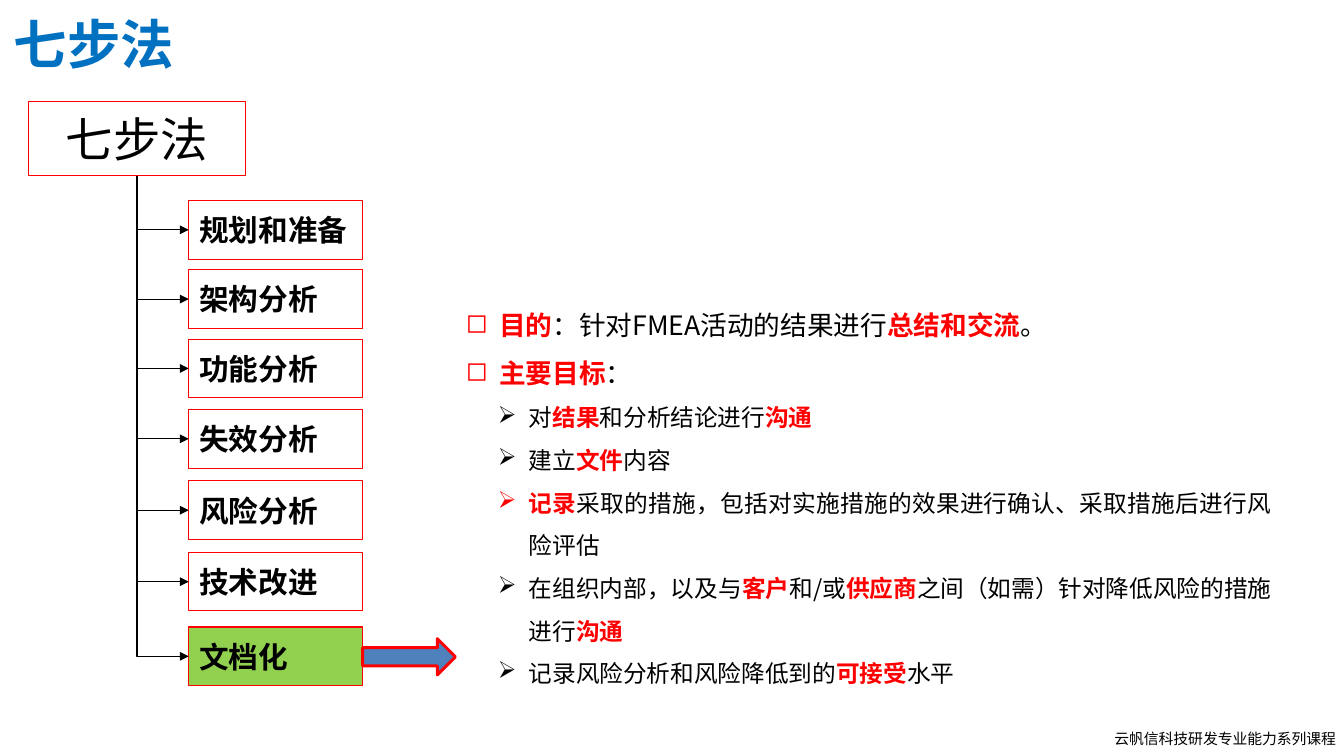
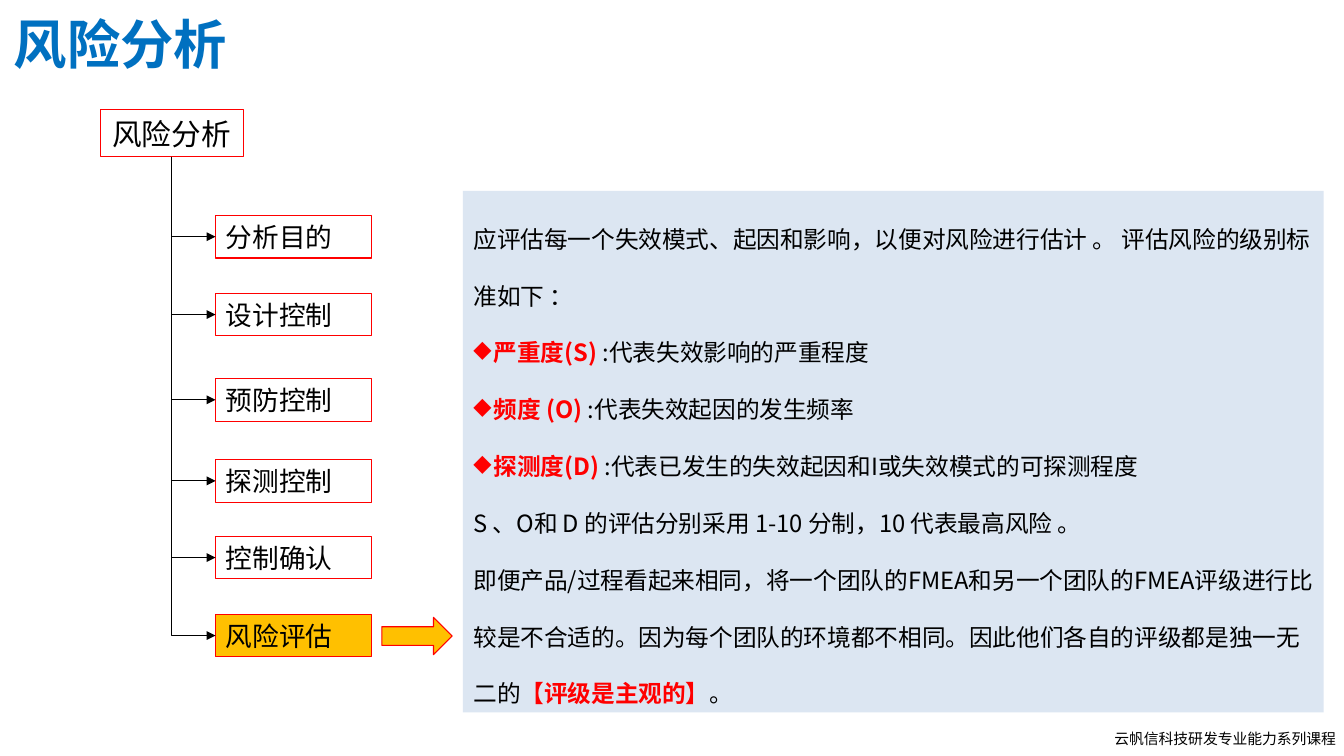
from pptx import Presentation
from pptx.dml.color import RGBColor
from pptx.enum.shapes import MSO_CONNECTOR, MSO_SHAPE
from pptx.enum.text import MSO_ANCHOR, MSO_AUTO_SIZE, PP_ALIGN
from pptx.oxml import parse_xml
from pptx.oxml.ns import nsdecls, qn
from pptx.util import Inches, Pt

BLACK = RGBColor(0x00, 0x00, 0x00)
RED = RGBColor(0xFF, 0x00, 0x00)
TITLE_BLUE = RGBColor(0x00, 0x70, 0xC0)
ARROW_BLUE = RGBColor(0x4F, 0x81, 0xBD)
PANEL_BLUE = RGBColor(0xDC, 0xE6, 0xF2)
GREEN = RGBColor(0x92, 0xD0, 0x50)
AMBER = RGBColor(0xFF, 0xC0, 0x00)

FONT = "Noto Sans CJK SC"
FOOTER = "云帆信科技研发专业能力系列课程"
BOTTOM_SITE, LEFT_SITE = 2, 1

STEPS = [
    ("规划和准备", 1.88), ("架构分析", 2.53), ("功能分析", 3.18), ("失效分析", 3.84),
    ("风险分析", 4.51), ("技术改进", 5.18), ("文档化", 5.88),
]
RISK_TOPICS = [
    ("分析目的", 2.02), ("设计控制", 2.75), ("预防控制", 3.55),
    ("探测控制", 4.31), ("控制确认", 5.03), ("风险评估", 5.76),
]

GOAL = {"bullet": "◻", "margin": 0.31, "hang": 0.31, "size": 18}
TARGET = {"bullet": "➢", "margin": 0.59, "hang": 0.29, "size": 16, "level": 1}
PLAIN = {"size": 16}
RATING = {"bullet": "◆", "margin": 0.19, "hang": 0.19, "size": 16}

DOCUMENTATION = [
    ("*目的*：针对FMEA活动的结果进行*总结和交流*。", GOAL),
    ("*主要目标*：", GOAL),
    ("对*结果*和分析结论进行*沟通*", TARGET),
    ("建立*文件*内容", TARGET),
    ("*记录*采取的措施，包括对实施措施的效果进行确认、采取措施后进行风险评估", TARGET),
    ("在组织内部，以及与*客户*和/或*供应商*之间（如需）针对降低风险的措施进行*沟通*", TARGET),
    ("记录风险分析和风险降低到的*可接受*水平", TARGET),
]
EVALUATION = [
    ("应评估每一个失效模式、起因和影响，以便对风险进行估计 。 评估风险的级别标准如下 ：", PLAIN),
    ("*严重度(S) *:代表失效影响的严重程度", RATING),
    ("*频度 (O) *:代表失效起因的发生频率", RATING),
    ("*探测度(D) *:代表已发生的失效起因和I或失效模式的可探测程度", RATING),
    ("S 、O和 D 的评估分别采用 1-10 分制，10 代表最高风险 。", PLAIN),
    ("即便产品/过程看起来相同，将一个团队的FMEA和另一个团队的FMEA评级进行比较是不合适的。"
     "因为每个团队的环境都不相同。因此他们各自的评级都是独一无二的*【评级是主观的】*。", PLAIN),
]


def apply_format(target, values):
    """Set every attribute named in a dict of format values."""
    for name, value in values.items():
        setattr(target, name, value)


class Deck:
    """Holds the shared style and the current slide."""

    def __init__(self):
        """Start an empty presentation."""
        self.presentation = Presentation()
        apply_format(self.presentation, {"slide_width": Inches(12.6), "slide_height": Inches(7.09)})
        self.slide = None

    def add_slide(self, title):
        """Add a slide with its title and footer."""
        self.slide = self.presentation.slides.add_slide(self.presentation.slide_layouts[5])
        shape = self.slide.shapes.title
        apply_format(shape, {"left": Inches(0.03), "top": Inches(0.05),
                             "width": Inches(4.96), "height": Inches(0.71)})
        self.set_frame(shape, MSO_ANCHOR.MIDDLE)
        self.add_runs(shape.text_frame.paragraphs[0], title, 36, TITLE_BLUE, True)
        footer = self.slide.shapes.add_textbox(*map(Inches, (10.35, 6.79, 2.37, 0.27)))
        self.set_frame(footer, MSO_ANCHOR.MIDDLE)
        self.add_runs(footer.text_frame.paragraphs[0], FOOTER, 10)

    def set_frame(self, shape, anchor):
        """Give a text frame the shared wrapping and the wanted anchor."""
        apply_format(shape.text_frame, {"word_wrap": True, "auto_size": MSO_AUTO_SIZE.NONE,
                                        "vertical_anchor": anchor})

    def add_runs(self, paragraph, text, size, color=BLACK, bold=False, alignment=PP_ALIGN.LEFT):
        """Add text whose parts between asterisks are bold and red."""
        paragraph.alignment = alignment
        for index, part in enumerate(text.split("*")):
            if part:
                key = index % 2 == 1
                run = paragraph.add_run()
                run.text = part
                apply_format(run.font, {"name": FONT, "size": Pt(size), "bold": key or bold})
                run.font.color.rgb = RED if key else color
                east_asian = parse_xml(f'<a:ea {nsdecls("a")} typeface="{FONT}"/>')
                run.font._element.append(east_asian)

    def add_shape(self, kind, place, fill=None, line=None, width=0.75):
        """Add a preset shape without a shadow."""
        shape = self.slide.shapes.add_shape(kind, *map(Inches, place))
        shape.shadow.inherit = False
        if fill is None:
            shape.fill.background()
        else:
            shape.fill.solid()
            shape.fill.fore_color.rgb = fill
        if line is None:
            shape.line.fill.background()
        else:
            shape.line.color.rgb = line
            shape.line.width = Pt(width)
        return shape

    def add_box(self, text, place, size, fill=None, bold=False, alignment=PP_ALIGN.LEFT):
        """Add a red-framed label."""
        box = self.add_shape(MSO_SHAPE.RECTANGLE, place, fill, RED)
        self.set_frame(box, MSO_ANCHOR.MIDDLE)
        self.add_runs(box.text_frame.paragraphs[0], text, size, bold=bold, alignment=alignment)
        return box

    def add_branch(self, root, box):
        """Join the bottom of the root to the left of a box with an elbow arrow."""
        connector = self.slide.shapes.add_connector(MSO_CONNECTOR.ELBOW, 0, 0, 0, 0)
        connector.begin_connect(root, BOTTOM_SITE)
        connector.end_connect(box, LEFT_SITE)
        across, down = connector.width, connector.height
        shift = (across - down) // 2
        apply_format(connector, {"left": connector.left + shift, "top": connector.top - shift,
                                 "width": down, "height": across})
        connector.line.color.rgb = BLACK
        connector.line.width = Pt(0.75)
        properties = connector._element.spPr
        properties.find(qn("a:prstGeom")).set("prst", "bentConnector2")
        transform = properties.find(qn("a:xfrm"))
        transform.set("rot", "16200000")
        transform.set("flipH", "1")
        properties.find(qn("a:ln")).append(parse_xml(f'<a:tailEnd {nsdecls("a")} type="triangle"/>'))
        properties.append(parse_xml(f'<a:effectLst {nsdecls("a")}/>'))

    def add_tree(self, root, items, left, width, height, size, highlight, bold=False):
        """Add the labels below a root, the last one highlighted."""
        for text, top in items:
            fill = highlight if text == items[-1][0] else None
            box = self.add_box(text, (left, top, width, height), size, fill, bold)
            self.add_branch(root, box)

    def add_arrow(self, place, fill, width=0.75):
        """Add a red-edged block arrow."""
        self.add_shape(MSO_SHAPE.RIGHT_ARROW, place, fill, RED, width)

    def fill_text(self, shape, entries, spacing, alignment=PP_ALIGN.LEFT):
        """Fill a shape with plain and bulleted paragraphs."""
        self.set_frame(shape, MSO_ANCHOR.TOP)
        frame = shape.text_frame
        for index, (text, style) in enumerate(entries):
            paragraph = frame.add_paragraph() if index else frame.paragraphs[0]
            if "bullet" in style:
                properties = paragraph._p.get_or_add_pPr()
                properties.set("marL", str(Inches(style["margin"])))
                properties.set("indent", str(-Inches(style["hang"])))
                properties.append(parse_xml(f'<a:buChar {nsdecls("a")} char="{style["bullet"]}"/>'))
            apply_format(paragraph, {"level": style.get("level", 0), "line_spacing": spacing})
            self.add_runs(paragraph, text, style["size"], alignment=alignment)

    def add_text(self, place, entries, spacing):
        """Add a justified text box."""
        box = self.slide.shapes.add_textbox(*map(Inches, place))
        self.fill_text(box, entries, spacing, PP_ALIGN.JUSTIFY)

    def add_panel(self, place, entries, spacing):
        """Add a tinted panel of text."""
        panel = self.add_shape(MSO_SHAPE.RECTANGLE, place, PANEL_BLUE)
        self.fill_text(panel, entries, spacing)


def build_seven_steps(deck):
    """Build the slide on the seven steps."""
    deck.add_slide("七步法")
    root = deck.add_box("七步法", (0.27, 0.95, 2.03, 0.7), 32, alignment=PP_ALIGN.CENTER)
    deck.add_tree(root, STEPS, 1.77, 1.63, 0.55, 20, GREEN, bold=True)
    deck.add_arrow((3.4, 5.99, 0.87, 0.34), ARROW_BLUE, 2)
    deck.add_text((4.27, 2.7, 7.75, 3.79), DOCUMENTATION, 1.5)


def build_risk_analysis(deck):
    """Build the slide on risk analysis."""
    deck.add_slide("风险分析")
    root = deck.add_box("风险分析", (0.94, 1.03, 1.34, 0.44), 20, alignment=PP_ALIGN.CENTER)
    deck.add_tree(root, RISK_TOPICS, 2.02, 1.46, 0.4, 18, AMBER)
    deck.add_arrow((3.58, 5.79, 0.66, 0.35), AMBER)
    deck.add_panel((4.34, 1.79, 8.07, 4.89), EVALUATION, 2.0)


def main():
    """Build and save the presentation."""
    deck = Deck()
    build_seven_steps(deck)
    build_risk_analysis(deck)
    deck.presentation.save("out.pptx")


if __name__ == "__main__":
    main()
